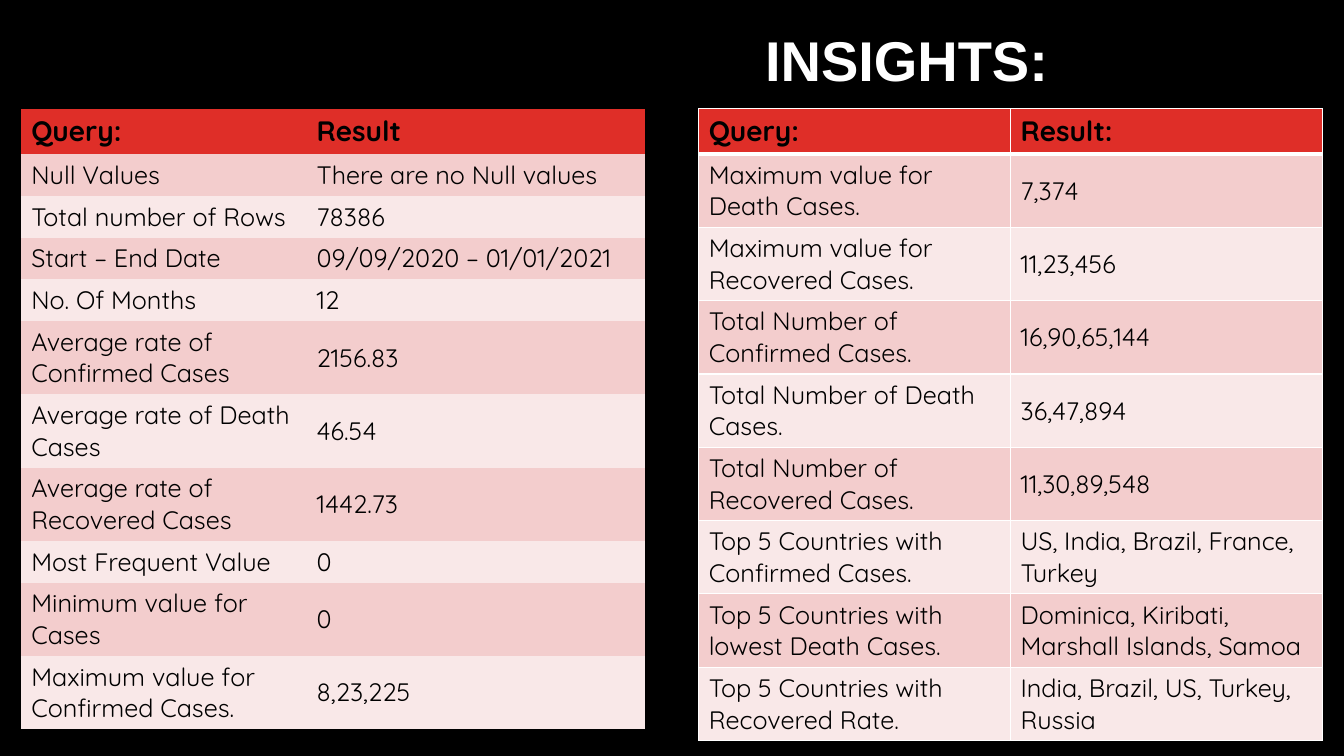
from lxml.etree import SubElement
from pptx import Presentation
from pptx.dml.color import RGBColor
from pptx.enum.text import MSO_ANCHOR, PP_ALIGN
from pptx.oxml import parse_xml
from pptx.oxml.ns import nsdecls, qn
from pptx.util import Inches, Pt

BLACK = RGBColor(0x00, 0x00, 0x00)
WHITE = RGBColor(0xFF, 0xFF, 0xFF)
RED = RGBColor(0xDF, 0x2E, 0x28)
ROSE = RGBColor(0xF3, 0xCD, 0xCD)
BLUSH = RGBColor(0xF9, 0xE8, 0xE8)
GREY = RGBColor(0x40, 0x40, 0x40)
NO_GRID = "{2D5ABB26-0587-4C30-8999-92F81FD0307C}"
LOW, HIGH = 5.47, 9.47

FACTS = [
    ("Query:", "Result"),
    ("Null Values", "There are no Null values"),
    ("Total number of Rows", "78386"),
    ("Start – End Date", "09/09/2020 – 01/01/2021"),
    ("No. Of Months", "12"),
    ("Average rate of Confirmed Cases", "2156.83"),
    ("Average rate of Death Cases", "46.54"),
    ("Average rate of Recovered Cases", "1442.73"),
    ("Most Frequent Value", "0"),
    ("Minimum value for Cases", "0"),
    ("Maximum value for Confirmed Cases.", "8,23,225"),
]
TOTALS = [
    ("Query:", "Result:"),
    ("Maximum value for Death Cases.", "7,374"),
    ("Maximum value for Recovered Cases.", "11,23,456"),
    ("Total Number of Confirmed Cases.", "16,90,65,144"),
    ("Total Number of Death Cases.", "36,47,894"),
    ("Total Number of Recovered Cases.", "11,30,89,548"),
    ("Top 5 Countries with Confirmed Cases.", "US, India, Brazil, France, Turkey"),
    ("Top 5 Countries with lowest Death Cases.", "Dominica, Kiribati, Marshall Islands, Samoa"),
    ("Top 5 Countries with Recovered Rate.", "India, Brazil, US, Turkey, Russia"),
]


def assign(item, **style):
    """Set each named value on the item."""
    for key, value in style.items():
        setattr(item, key, value)


class Deck:
    """Hold the style and the slide, with lengths in percent of its size."""

    head = {"name": "Quicksand", "size": Pt(20), "bold": True}
    body = {"name": "Quicksand", "size": Pt(18), "bold": False}
    title_font = {"name": "Arial", "size": Pt(40), "bold": True}

    def __init__(self):
        """Start a deck with one black slide."""
        self.show = Presentation()
        assign(self.show, slide_width=Inches(13.33), slide_height=Inches(7.5))
        self.slide = self.show.slides.add_slide(self.show.slide_layouts[5])
        fill = self.slide.background.fill
        fill.solid()
        fill.fore_color.rgb = BLACK

    def wide(self, share):
        """Turn a percent of the width into a length."""
        return round(self.show.slide_width * share / 100)

    def tall(self, share):
        """Turn a percent of the height into a length."""
        return round(self.show.slide_height * share / 100)

    def label(self, frame, text, style, color):
        """Put styled text in a frame and return its run."""
        run = frame.paragraphs[0].add_run()
        run.text = text
        assign(run.font, **style)
        run.font.color.rgb = color
        return run

    def title(self, text, left, top, width, height):
        """Place and fill the title."""
        shape = self.slide.shapes.title
        assign(shape, left=self.wide(left), top=self.tall(top),
               width=self.wide(width), height=self.tall(height))
        frame = shape.text_frame
        assign(frame, vertical_anchor=MSO_ANCHOR.MIDDLE, word_wrap=True)
        assign(frame.paragraphs[0], alignment=PP_ALIGN.RIGHT, line_spacing=0.9)
        self.label(frame, text, self.title_font, WHITE)

    def edge(self, cell, row):
        """Draw white borders, thick below the header."""
        thick = {"lnB": 3} if row == 0 else {"lnT": 3} if row == 1 else {}
        props = cell._tc.get_or_add_tcPr()
        for spot, side in enumerate(("lnL", "lnR", "lnT", "lnB")):
            line = parse_xml(
                f'<a:{side} {nsdecls("a")} w="{Pt(thick.get(side, 1))}"><a:solidFill>'
                f'<a:srgbClr val="{WHITE}"/></a:solidFill></a:{side}>')
            props.insert(spot, line)

    def stroke(self, run):
        """Give the letters a thin grey line."""
        line = parse_xml(f'<a:ln {nsdecls("a")} w="{Pt(0.75)}"/>')
        fill = SubElement(line, qn("a:solidFill"))
        SubElement(fill, qn("a:srgbClr"), val=str(GREY))
        run._r.get_or_add_rPr().insert(0, line)

    def table(self, data, left, top, cols, rows, lined=False):
        """Add a banded table, lined or plain."""
        frame = self.slide.shapes.add_table(
            len(data), len(cols), self.wide(left), self.tall(top),
            self.wide(sum(cols)), self.tall(sum(rows)))
        table = frame.table
        table._tbl.tblPr.find(qn("a:tableStyleId")).text = NO_GRID
        for col, share in zip(table.columns, cols):
            col.width = self.wide(share)
        for row, share in zip(table.rows, rows):
            row.height = self.tall(share)
        for i, texts in enumerate(data):
            for j, text in enumerate(texts):
                cell = table.cell(i, j)
                cell.fill.solid()
                cell.fill.fore_color.rgb = (ROSE if i % 2 else BLUSH) if i else RED
                if j or lined:
                    cell.vertical_anchor = MSO_ANCHOR.MIDDLE
                style = self.body if i else self.head
                self.stroke(self.label(cell.text_frame, text, style, BLACK))
                if lined:
                    self.edge(cell, i)


def main():
    """Build and save the slide."""
    deck = Deck()
    deck.title("INSIGHTS: ", 9.38, 2.93, 70.51, 10.8)
    rows = [LOW] * 5 + [HIGH] * 3 + [LOW] + [HIGH] * 2
    deck.table(FACTS, 1.58, 14.4, (21.23, 25.21), rows)
    deck.table(TOTALS, 51.99, 14.4, (23.2, 23.2), [LOW] * len(TOTALS), lined=True)
    deck.show.save("out.pptx")


if __name__ == "__main__":
    main()
